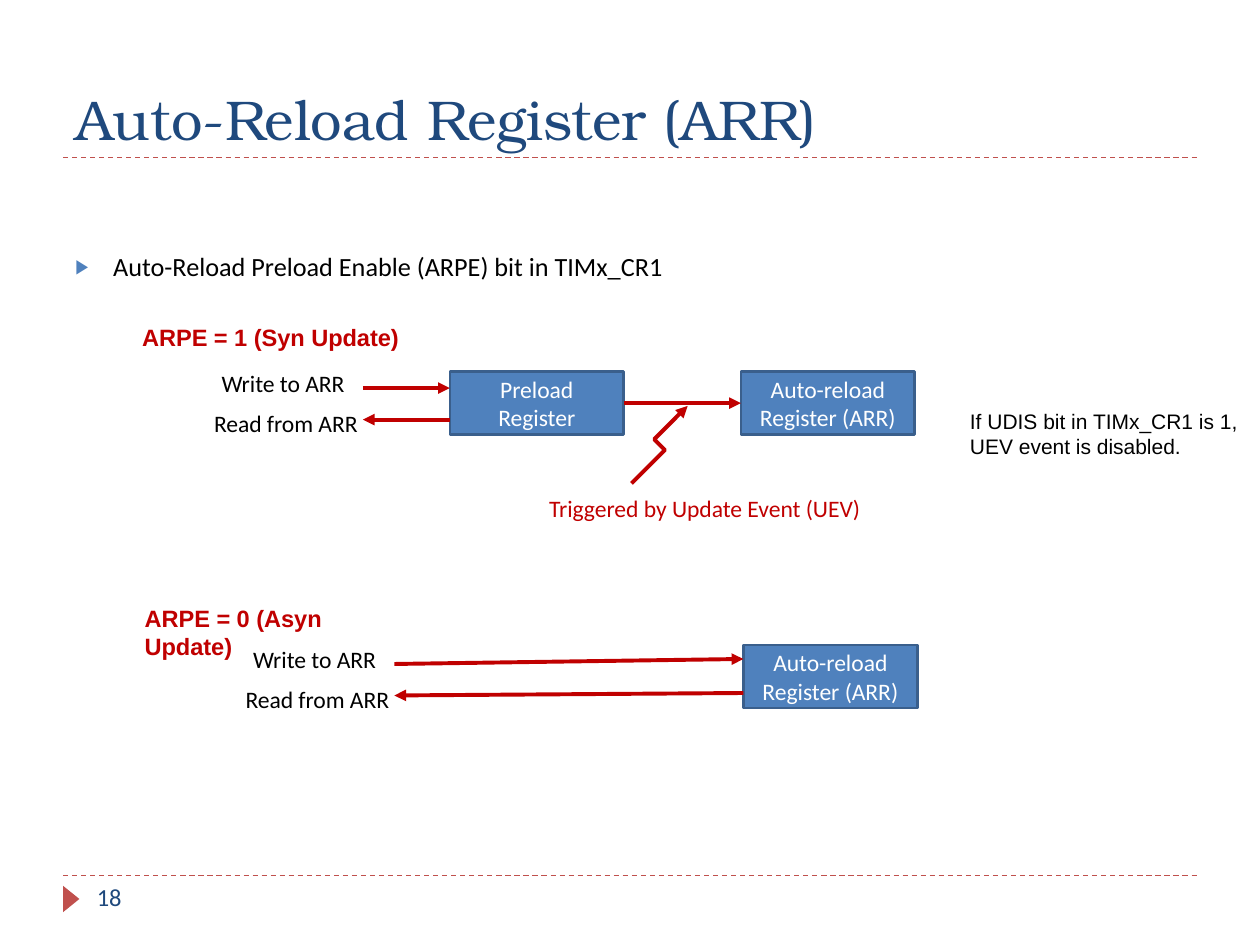
from collections import namedtuple

from lxml.etree import SubElement
from pptx import Presentation
from pptx.dml.color import RGBColor
from pptx.enum.dml import MSO_LINE_DASH_STYLE as Dash
from pptx.enum.shapes import MSO_CONNECTOR_TYPE as Link, MSO_SHAPE as Shape
from pptx.enum.text import MSO_ANCHOR as Anchor, MSO_AUTO_SIZE as AutoSize, PP_ALIGN as Align
from pptx.oxml.ns import qn
from pptx.util import Inches, Pt

Box = namedtuple("Box", "left top width height")
RED, NAVY, BLUE, BRICK = "C00000", "1F497D", "4F81BD", "C0504D"
BLACK, WHITE, EDGE = "000000", "FFFFFF", "3A5F8C"
LABEL_SIZE = 13.5
REGISTER_W, REGISTER_H = 1.38, 0.5


def color(hex_string):
    return RGBColor.from_string(hex_string)


def write(frame, text, size, tint, font="Calibri", bold=False):
    frame.text = text
    for run in frame.paragraphs[0].runs:
        run.font.size = Pt(size)
        run.font.name = font
        run.font.bold = bold
        run.font.color.rgb = color(tint)
    return frame.paragraphs[0]


def add_text(slide, box, text, size=LABEL_SIZE, tint=BLACK, font="Calibri",
             bold=False, wrap=True, anchor=Anchor.TOP):
    frame = slide.shapes.add_textbox(*map(Inches, box)).text_frame
    frame.word_wrap = wrap
    frame.vertical_anchor = anchor
    if not wrap:
        frame.auto_size = AutoSize.SHAPE_TO_FIT_TEXT
    return write(frame, text, size, tint, font, bold)


def add_line(slide, start, end, tint=RED, width=2.25, kind=Link.STRAIGHT, arrow=True):
    line = slide.shapes.add_connector(kind, *map(Inches, (*start, *end)))
    line.line.color.rgb = color(tint)
    line.line.width = Pt(width)
    properties = line._element.spPr
    if arrow:
        SubElement(properties.find(qn("a:ln")), qn("a:tailEnd"), type="triangle")
    SubElement(properties, qn("a:effectLst"))
    return line


def add_solid(slide, kind, box, fill):
    solid = slide.shapes.add_shape(kind, *map(Inches, box))
    solid.shadow.inherit = False
    solid.fill.solid()
    solid.fill.fore_color.rgb = color(fill)
    return solid


def add_register(slide, left, top, text):
    register = add_solid(slide, Shape.RECTANGLE, (left, top, REGISTER_W, REGISTER_H), BLUE)
    register.line.color.rgb = color(EDGE)
    register.line.width = Pt(1.5)
    frame = register.text_frame
    frame.word_wrap = True
    frame.vertical_anchor = Anchor.MIDDLE
    write(frame, text, LABEL_SIZE, WHITE).alignment = Align.CENTER
    return register


def add_rule(slide, box, top):
    rule = add_line(slide, (box.left, top), (box.left + box.width, top),
                    BRICK, 0.75, arrow=False)
    rule.line.dash_style = Dash.DASH


def add_header(slide, box, title):
    add_rule(slide, box, box.top + box.height)
    add_text(slide, box, title, 32, NAVY, "TeX Gyre Bonum", anchor=Anchor.BOTTOM)


def add_footer(slide, box, number):
    add_rule(slide, box, box.top)
    marker = add_solid(slide, Shape.ISOSCELES_TRIANGLE,
                       (box.left - 0.04, box.top + 0.12, 0.21, 0.13), BRICK)
    marker.rotation = 90
    marker.line.fill.background()
    add_text(slide, (box.left + 0.17, box.top, 2.17, box.height), number, 14, NAVY)


def add_bullet(slide, box, text):
    bullet = add_text(slide, box, text, 15)
    properties = bullet._p.get_or_add_pPr()
    properties.set("marL", str(Inches(0.3)))
    properties.set("indent", str(-Inches(0.3)))
    tint = SubElement(properties, qn("a:buClr"))
    SubElement(tint, qn("a:srgbClr"), val=BLUE)
    SubElement(properties, qn("a:buSzPct"), val="76000")
    SubElement(properties, qn("a:buFont"), typeface="Arial")
    SubElement(properties, qn("a:buChar"), char="▶")


def add_heading(slide, box, text):
    add_text(slide, (box.left, box.top, 2.3, 0.33), text, tint=RED,
             font="Arial", bold=True, wrap=False)


def add_access(slide, left, top, target, write_end, read_start):
    add_text(slide, (left + 0.06, top, 1.28, 0.33), "Write to ARR", wrap=False)
    add_text(slide, (left, top + 0.32, 1.39, 0.33), "Read from ARR", wrap=False)
    tip = left + 1.28
    add_line(slide, (tip, top + 0.2), (target, top + write_end))
    add_line(slide, (target, top + read_start), (tip, top + 0.45))


def add_sync_update(slide, box):
    add_heading(slide, box, "ARPE = 1 (Syn Update)")
    registers_top = box.top + 0.44
    preload_left, reload_left = box.left + 2.54, box.left + 4.85
    preload = add_register(slide, preload_left, registers_top, "Preload Register")
    reload = add_register(slide, reload_left, registers_top, "Auto-reload Register (ARR)")
    middle = registers_top + REGISTER_H / 2
    transfer = add_line(slide, (preload_left + REGISTER_W, middle), (reload_left, middle))
    transfer.begin_connect(preload, 3)
    transfer.end_connect(reload, 1)
    add_access(slide, box.left + 0.57, box.top + 0.37, preload_left, 0.2, 0.45)
    trigger = add_line(slide, (box.left + 3.83, box.top + 1.08),
                       (box.left + 4.58, box.top + 0.96), kind=Link.ELBOW)
    trigger._element.spPr.find(qn("a:xfrm")).set("rot", str(315 * 60000))
    add_text(slide, (box.left + 3.23, box.top + 1.36, 2.75, 0.33),
             "Triggered by Update Event (UEV)", tint=RED, wrap=False)
    note = add_text(slide, (box.left + 6.34, box.top + 0.68, 2.66, 0.5),
                    "If UDIS bit in TIMx_CR1 is 1, UEV event is disabled.", 12, font="Arial")
    note._p.get_or_add_pPr().set("marL", str(Inches(0.23)))


def add_async_update(slide, box):
    add_heading(slide, box, "ARPE = 0 (Asyn Update)")
    reload_left = box.left + 4.85
    add_register(slide, reload_left, box.top + 0.38, "Auto-reload Register (ARR)")
    add_access(slide, box.left + 0.8, box.top + 0.33, reload_left, 0.16, 0.43)


def main():
    deck = Presentation()
    deck.slide_width, deck.slide_height = Inches(10), Inches(7.5)
    slide = deck.slides.add_slide(deck.slide_layouts[6])
    add_header(slide, Box(0.5, 0.17, 9, 1.08), "Auto-Reload Register (ARR)")
    add_bullet(slide, Box(0.5, 1.94, 9, 0.45),
               "Auto-Reload Preload Enable (ARPE) bit in TIMx_CR1")
    add_sync_update(slide, Box(1.03, 2.51, 9, 1.69))
    add_async_update(slide, Box(1.05, 4.74, 6.23, 0.98))
    add_footer(slide, Box(0.5, 6.95, 9, 0.4), "18")
    deck.save("out.pptx")


if __name__ == "__main__":
    main()
